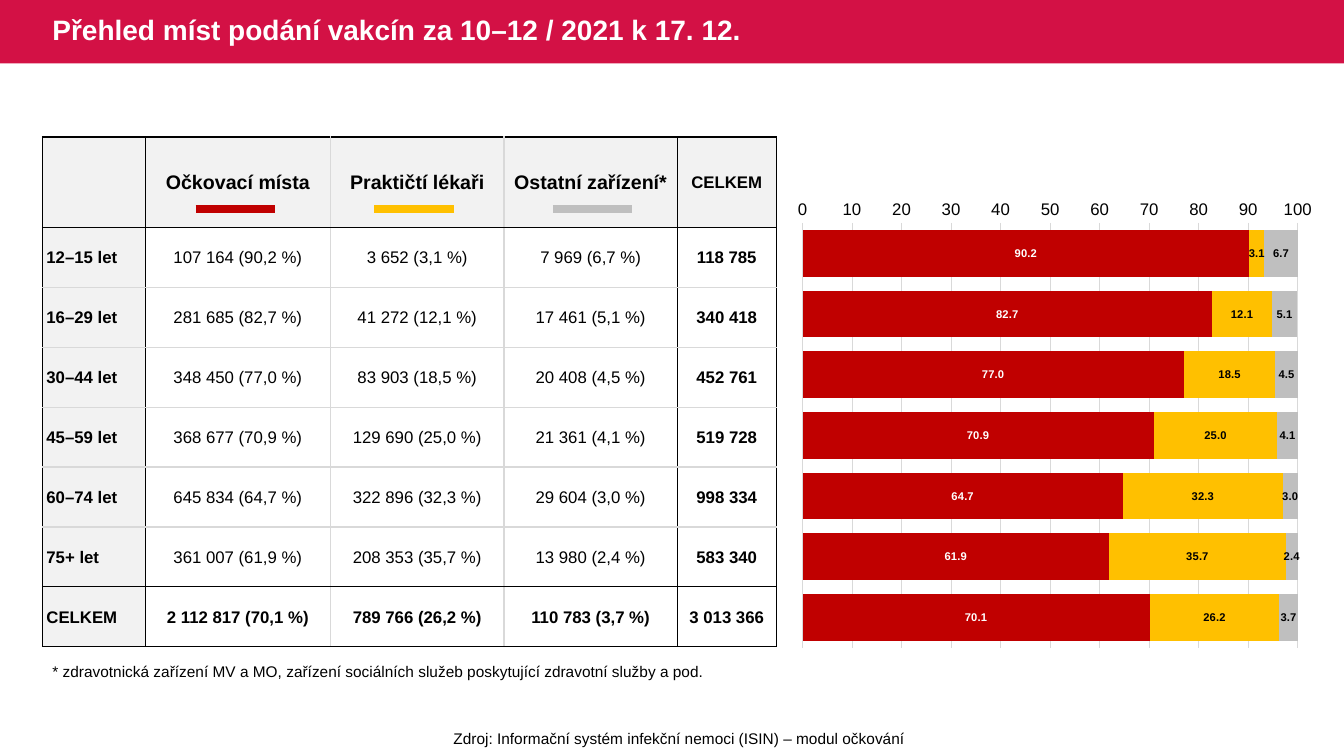
"""Build the slide with vaccination sites by age group: a table and a stacked bar chart."""
from lxml import etree
from pptx import Presentation
from pptx.chart.data import CategoryChartData
from pptx.dml.color import RGBColor
from pptx.enum.chart import XL_CHART_TYPE as ChartType, XL_TICK_MARK as TickMark
from pptx.enum.shapes import MSO_CONNECTOR as Connector, MSO_SHAPE as Shape
from pptx.enum.text import MSO_ANCHOR as Anchor, MSO_AUTO_SIZE as AutoSize, PP_ALIGN as Align
from pptx.oxml import parse_xml
from pptx.oxml.ns import nsdecls, qn
from pptx.util import Cm, Pt

TITLE = "Přehled míst podání vakcín za 10–12 / 2021 k 17. 12."
TOTAL = "CELKEM"
SITES = ["Očkovací místa", "Praktičtí lékaři", "Ostatní zařízení*"]
DOSES = {
    "12–15 let": (107164, 3652, 7969),
    "16–29 let": (281685, 41272, 17461),
    "30–44 let": (348450, 83903, 20408),
    "45–59 let": (368677, 129690, 21361),
    "60–74 let": (645834, 322896, 29604),
    "75+ let": (361007, 208353, 13980),
}
FOOTNOTE = ("* zdravotnická zařízení MV a MO, zařízení sociálních služeb "
            "poskytující zdravotní služby a pod.")
SOURCE = "Zdroj: Informační systém infekční nemoci (ISIN) – modul očkování"

THEME = {
    "font": "Arial", "banner": "D31145", "white": "FFFFFF", "black": "000000",
    "header": "F2F2F2", "grid": "D9D9D9",
    "series": ["C00000", "FFC000", "BFBFBF"], "labels": ["FFFFFF", "000000", "000000"],
    "title": 20, "heading": 14, "body": 12, "note": 11, "chart": 10, "value": 8,
}

SLIDE_SIZE = (33.87, 19.05)
BANNER_HEIGHT = 1.6
LEFT = 1.07
TABLE_TOP = 3.45
COLUMN_WIDTHS = [2.59, 4.67, 4.37, 4.37, 2.49]
HEADER_HEIGHT, ROW_HEIGHT = 2.28, 1.51
BLACK_COLUMN_EDGES = {0, 1, 4, 5}
BLACK_ROW_EDGES = {0, 1, 7, 8}
CHART_BOX = (19.89, 3.68, 13.39, 13.77)
PLOT = {"x": 0.025, "y": 0.141, "w": 0.932, "h": 0.777}
MARK_LEFT, MARK_TOP, MARK_WIDTH, MARK_STEP = 4.93, 5.26, 2, 4.5


def color(value):
    return RGBColor.from_string(value)


def set_all(target, **values):
    for name, value in values.items():
        setattr(target, name, value)


def set_font(font, size, bold=False, fill=THEME["black"]):
    set_all(font, name=THEME["font"], size=Pt(size), bold=bold)
    font.color.rgb = color(fill)


def write(frame, text, size, align=Align.LEFT, **style):
    paragraph = frame.paragraphs[0]
    paragraph.alignment = align
    run = paragraph.add_run()
    run.text = text
    set_font(run.font, size, **style)
    return paragraph


def add_text(slide, box, text, size, align=Align.LEFT, frame_values=None, **style):
    frame = slide.shapes.add_textbox(*map(Cm, box)).text_frame
    set_all(frame, **{"word_wrap": True, **(frame_values or {})})
    return write(frame, text, size, align, **style)


def add_banner(slide):
    banner = slide.shapes.add_shape(Shape.RECTANGLE, 0, 0, Cm(SLIDE_SIZE[0]), Cm(BANNER_HEIGHT))
    banner.shadow.inherit = False
    banner.fill.solid()
    banner.fill.fore_color.rgb = color(THEME["banner"])
    banner.line.fill.background()
    title = add_text(slide, (LEFT, 0, 20.14, BANNER_HEIGHT), TITLE, THEME["title"],
                     frame_values={"vertical_anchor": Anchor.MIDDLE},
                     bold=True, fill=THEME["white"])
    title.line_spacing = 0.9


def table_rows(groups):
    rows = [["", *SITES, TOTAL]]
    for label, counts in groups.items():
        total = sum(counts)
        cells = []
        for count in counts:
            share = f"{100 * count / total:.1f}".replace(".", ",")
            cells.append(f"{count:,} ({share} %)".replace(",", " ", f"{count:,}".count(",")))
        rows.append([label, *cells, f"{total:,}".replace(",", " ")])
    return rows


def set_borders(cell, row, column):
    properties = cell._tc.get_or_add_tcPr()
    edges = {
        "lnL": column in BLACK_COLUMN_EDGES, "lnR": column + 1 in BLACK_COLUMN_EDGES,
        "lnT": row in BLACK_ROW_EDGES, "lnB": row + 1 in BLACK_ROW_EDGES,
    }
    for tag, black in edges.items():
        shade = THEME["black" if black else "grid"]
        properties.append(parse_xml(
            f'<a:{tag} {nsdecls("a")} w="12700"><a:solidFill><a:srgbClr val="{shade}"/>'
            f'</a:solidFill></a:{tag}>'))


def add_dose_table(slide, groups):
    rows = table_rows(groups)
    heights = [HEADER_HEIGHT] + [ROW_HEIGHT] * len(groups)
    table = slide.shapes.add_table(
        len(rows), len(COLUMN_WIDTHS), Cm(LEFT), Cm(TABLE_TOP),
        Cm(sum(COLUMN_WIDTHS)), Cm(sum(heights))).table
    set_all(table, first_row=False, horz_banding=False)
    for column, width in zip(table.columns, COLUMN_WIDTHS):
        column.width = Cm(width)
    for table_row, height in zip(table.rows, heights):
        table_row.height = Cm(height)
    last_row, last_column = len(rows) - 1, len(COLUMN_WIDTHS) - 1
    for r, texts in enumerate(rows):
        for c, text in enumerate(texts):
            cell = table.cell(r, c)
            set_all(cell, vertical_anchor=Anchor.MIDDLE, margin_left=Cm(0.02 if c else 0.1),
                    margin_right=Cm(0.02), margin_top=Cm(0.02), margin_bottom=0)
            set_borders(cell, r, c)
            if r == 0 or c == 0:
                cell.fill.solid()
                cell.fill.fore_color.rgb = color(THEME["header"])
            else:
                cell.fill.background()
            if text:
                size = THEME["heading" if r == 0 and c < last_column else "body"]
                write(cell.text_frame, text, size, Align.CENTER if c else Align.LEFT,
                      bold=r in (0, last_row) or c in (0, last_column))


def add_share_chart(slide, groups):
    data = CategoryChartData()
    data.categories = [str(number + 1) for number in range(len(groups))]
    for index in range(len(SITES)):
        shares = [round(100 * counts[index] / sum(counts), 1) for counts in groups.values()]
        data.add_series(f"Series {index + 1}", shares)
    chart = slide.shapes.add_chart(ChartType.BAR_STACKED, *map(Cm, CHART_BOX), data).chart
    set_all(chart, has_legend=False, has_title=False)
    set_font(chart.font, THEME["chart"])
    set_all(chart.category_axis, reverse_order=True, visible=False)
    axis = chart.value_axis
    set_all(axis, minimum_scale=0, maximum_scale=100, major_unit=10, has_major_gridlines=True,
            major_tick_mark=TickMark.NONE, minor_tick_mark=TickMark.NONE)
    set_font(axis.tick_labels.font, THEME["body"])
    axis.format.line.fill.background()
    gridline = axis.major_gridlines.format.line
    gridline.width = Pt(0.75)
    gridline.color.rgb = color(THEME["grid"])
    plot = chart.plots[0]
    set_all(plot, gap_width=30, overlap=100, vary_by_categories=False)
    for series, fill, label_fill in zip(plot.series, THEME["series"], THEME["labels"]):
        series.format.fill.solid()
        series.format.fill.fore_color.rgb = color(fill)
        labels = series.data_labels
        set_all(labels, show_value=True, number_format="#,##0.0", number_format_is_linked=False)
        set_font(labels.font, THEME["value"], bold=True, fill=label_fill)
    place_plot(chart)


def place_plot(chart):
    area = chart._chartSpace.chart.plotArea
    for layout in area.findall(qn("c:layout")):
        area.remove(layout)
    settings = {"layoutTarget": "inner", "xMode": "edge", "yMode": "edge", **PLOT}
    items = "".join(f'<c:{tag} val="{value}"/>' for tag, value in settings.items())
    area.insert(0, parse_xml(
        f'<c:layout {nsdecls("c")}><c:manualLayout>{items}</c:manualLayout></c:layout>'))


def add_color_keys(slide):
    for index, fill in enumerate(THEME["series"]):
        left = MARK_LEFT + index * MARK_STEP
        key = slide.shapes.add_connector(
            Connector.STRAIGHT, Cm(left), Cm(MARK_TOP), Cm(left + MARK_WIDTH), Cm(MARK_TOP))
        key.line.width = Pt(6)
        key.line.color.rgb = color(fill)
        etree.SubElement(key._element.spPr, qn("a:effectLst"))


def main():
    presentation = Presentation()
    set_all(presentation, slide_width=Cm(SLIDE_SIZE[0]), slide_height=Cm(SLIDE_SIZE[1]))
    slide = presentation.slides.add_slide(presentation.slide_layouts[6])
    groups = {**DOSES, TOTAL: tuple(map(sum, zip(*DOSES.values())))}
    add_banner(slide)
    add_dose_table(slide, groups)
    add_share_chart(slide, groups)
    add_color_keys(slide)
    add_text(slide, (11.15, 18.26, 11.94, 0.74), SOURCE, THEME["note"], Align.CENTER,
             {"word_wrap": False, "auto_size": AutoSize.SHAPE_TO_FIT_TEXT})
    add_text(slide, (LEFT, 16.56, 17.55, 0.74), FOOTNOTE, THEME["note"],
             frame_values={"auto_size": AutoSize.SHAPE_TO_FIT_TEXT})
    presentation.save("out.pptx")


if __name__ == "__main__":
    main()
